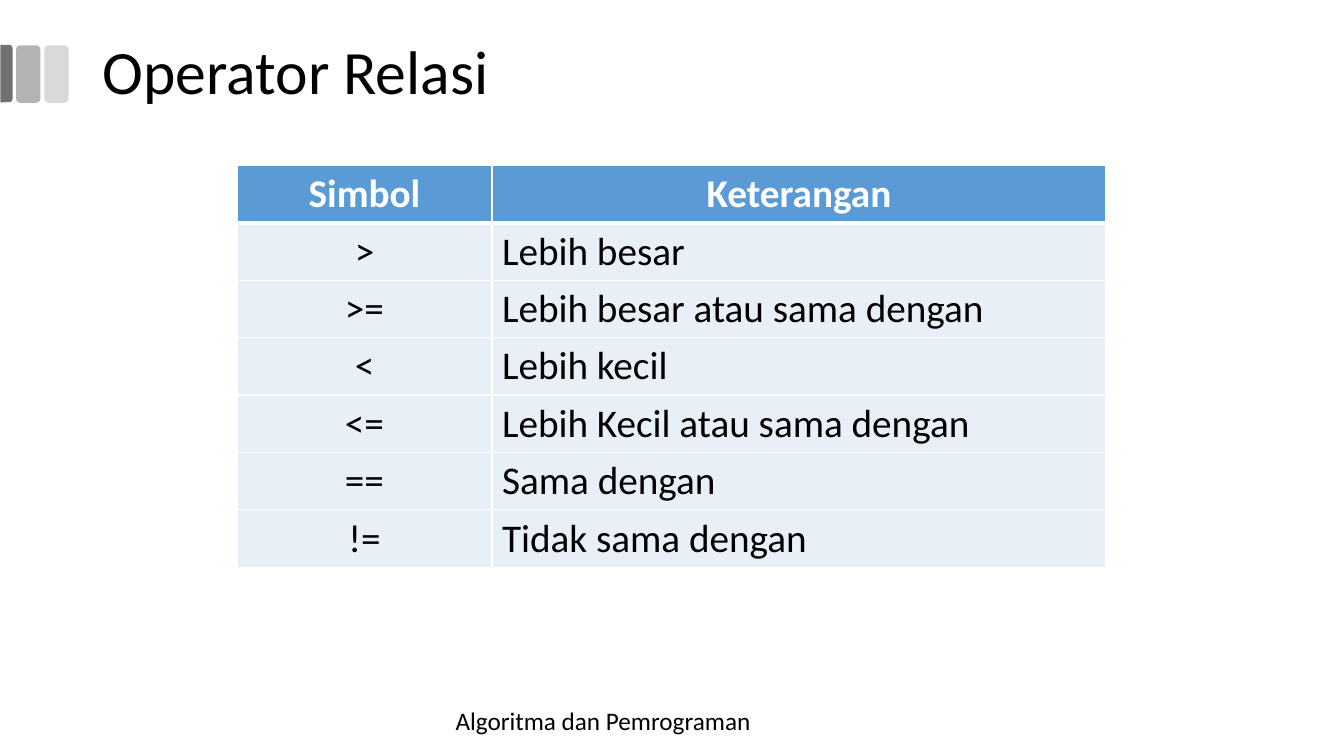
from lxml import etree
from pptx import Presentation
from pptx.dml import color
from pptx.enum import shapes, text
from pptx.oxml import ns
from pptx.util import Inches, Pt

LEFT, CENTER = text.PP_ALIGN.LEFT, text.PP_ALIGN.CENTER
OPERATORS = [
    ("Simbol", "Keterangan"),
    (">", "Lebih besar"),
    (">=", "Lebih besar atau sama dengan"),
    ("<", "Lebih kecil"),
    ("<=", "Lebih Kecil atau sama dengan"),
    ("==", "Sama dengan"),
    ("!=", "Tidak sama dengan"),
]


def rgb(value):
    return color.RGBColor.from_string(value)


def write(frame, words, size, ink="000000", font="Calibri", bold=False,
          align=LEFT, spacing=None):
    paragraph = frame.paragraphs[0]
    paragraph.alignment = align
    paragraph.line_spacing = spacing
    run = paragraph.add_run()
    run.text = words
    run.font.name, run.font.size, run.font.bold = font, Pt(size), bold
    run.font.color.rgb = rgb(ink)


class RelationSlide:
    header_fill, body_fill, border = "5B9BD5", "E9EFF7", "FFFFFF"
    thin, thick = 0.96, 3

    def __init__(self, deck):
        self.slide = deck.slides.add_slide(deck.slide_layouts[6])

    def bar(self, preset, place, fill, adjustments, rotation=0):
        bar = self.slide.shapes.add_shape(preset, *map(Inches, place))
        bar.shadow.inherit = False
        bar.rotation = rotation
        bar.fill.solid()
        bar.fill.fore_color.rgb = rgb(fill)
        bar.line.fill.background()
        for index, value in enumerate(adjustments):
            bar.adjustments[index] = value

    def label(self, words, place, size, anchor=text.MSO_ANCHOR.TOP, **style):
        frame = self.slide.shapes.add_textbox(*map(Inches, place)).text_frame
        frame.word_wrap = True
        frame.vertical_anchor = anchor
        write(frame, words, size, **style)

    def edges(self, cell, widths):
        properties = cell._tc.get_or_add_tcPr()
        for index, (side, width) in enumerate(zip("LRTB", widths)):
            edge = etree.Element(ns.qn(f"a:ln{side}"), w=str(Pt(width)))
            fill = etree.SubElement(edge, ns.qn("a:solidFill"))
            etree.SubElement(fill, ns.qn("a:srgbClr"), val=self.border)
            properties.insert(index, edge)

    def table(self, rows, left, top, columns, row_height):
        place = left, top, sum(columns), row_height * len(rows)
        table = self.slide.shapes.add_table(
            len(rows), len(columns), *map(Inches, place)).table
        for column, width in zip(table.columns, columns):
            column.width = Inches(width)
        for r, row in enumerate(rows):
            header = r == 0
            for c, words in enumerate(row):
                cell = table.cell(r, c)
                cell.fill.solid()
                cell.fill.fore_color.rgb = rgb(
                    self.header_fill if header else self.body_fill)
                write(cell.text_frame, words, 28, bold=header,
                      ink="FFFFFF" if header else "000000",
                      align=CENTER if header or c == 0 else LEFT)
                self.edges(cell, (self.thin, self.thin,
                                  self.thick if r == 1 else self.thin,
                                  self.thick if header else self.thin))


def main():
    deck = Presentation()
    deck.slide_width, deck.slide_height = Inches(13.33), Inches(7.5)
    page = RelationSlide(deck)
    preset = shapes.MSO_SHAPE
    for left, fill in ((0.44, "D9D9D9"), (0.16, "B3B3B3")):
        page.bar(preset.ROUNDED_RECTANGLE, (left, 0.45, 0.24, 0.57), fill, [0.167])
    page.bar(preset.ROUND_2_SAME_RECTANGLE, (-0.22, 0.67, 0.57, 0.12),
             "717171", [0.292, 0], rotation=90)
    page.label("Operator Relasi", (0.92, 0.01, 11.5, 1.45), 44,
               anchor=text.MSO_ANCHOR.MIDDLE, spacing=0.9)
    page.table(OPERATORS, 2.35, 1.64, (2.53, 6.09), 0.57)
    page.label("Algoritma dan Pemrograman", (4.42, 6.95, 4.5, 0.4), 18)
    deck.save("out.pptx")


if __name__ == "__main__":
    main()
